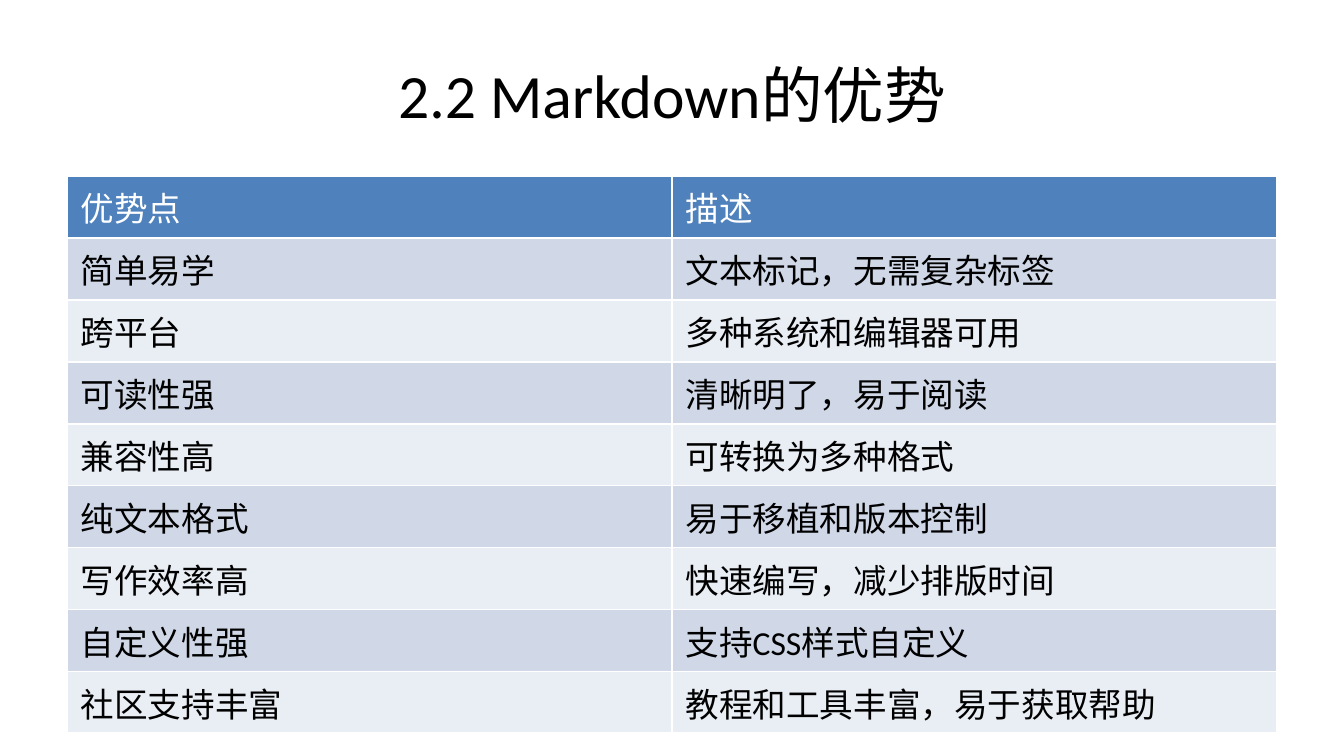
from typing import NamedTuple

from pptx import Presentation
from pptx.dml.color import RGBColor
from pptx.enum.text import MSO_ANCHOR, PP_ALIGN
from pptx.util import Cm, Pt

FONT = "Calibri"
BLACK = RGBColor(0x00, 0x00, 0x00)
WHITE = RGBColor(0xFF, 0xFF, 0xFF)
HEADER_BLUE = RGBColor(0x4F, 0x81, 0xBD)
BAND_DARK = RGBColor(0xD0, 0xD8, 0xE8)
BAND_LIGHT = RGBColor(0xE9, 0xED, 0xF4)

LEFT, WIDTH = Cm(1.27), Cm(22.86)
ROW_HEIGHT = Cm(1.17)


class Advantage(NamedTuple):
    name: str
    description: str


HEADER = Advantage("优势点", "描述")
ADVANTAGES = [
    Advantage("简单易学", "文本标记，无需复杂标签"),
    Advantage("跨平台", "多种系统和编辑器可用"),
    Advantage("可读性强", "清晰明了，易于阅读"),
    Advantage("兼容性高", "可转换为多种格式"),
    Advantage("纯文本格式", "易于移植和版本控制"),
    Advantage("写作效率高", "快速编写，减少排版时间"),
    Advantage("自定义性强", "支持CSS样式自定义"),
    Advantage("社区支持丰富", "教程和工具丰富，易于获取帮助"),
]


def write(tf, text: str, size: float, color: RGBColor) -> None:
    tf.text = text
    font = tf.paragraphs[0].runs[0].font
    font.name, font.size, font.bold = FONT, Pt(size), False
    font.color.rgb = color


def add_title(slide, text: str) -> None:
    tf = slide.shapes.add_textbox(LEFT, Cm(0.58), WIDTH, Cm(2.38)).text_frame
    tf.word_wrap = True
    tf.vertical_anchor = MSO_ANCHOR.MIDDLE
    write(tf, text, 33, BLACK)
    tf.paragraphs[0].alignment = PP_ALIGN.CENTER


def fill_row(table, index: int, row: Advantage, fill: RGBColor, color: RGBColor) -> None:
    table.rows[index].height = ROW_HEIGHT
    for cell, text in zip(table.rows[index].cells, row):
        cell.fill.solid()
        cell.fill.fore_color.rgb = fill
        write(cell.text_frame, text, 18, color)


def add_advantages(slide, header: Advantage, rows: list[Advantage]) -> None:
    count = len(rows) + 1
    table = slide.shapes.add_table(
        count, len(header), LEFT, Cm(3.33), WIDTH, ROW_HEIGHT * count
    ).table
    fill_row(table, 0, header, HEADER_BLUE, WHITE)
    for i, row in enumerate(rows, start=1):
        fill_row(table, i, row, BAND_DARK if i % 2 else BAND_LIGHT, BLACK)


def main() -> None:
    prs = Presentation()
    prs.slide_width, prs.slide_height = Cm(25.4), Cm(14.29)
    slide = prs.slides.add_slide(prs.slide_layouts[6])
    add_title(slide, "2.2 Markdown的优势")
    add_advantages(slide, HEADER, ADVANTAGES)
    prs.save("out.pptx")


if __name__ == "__main__":
    main()
